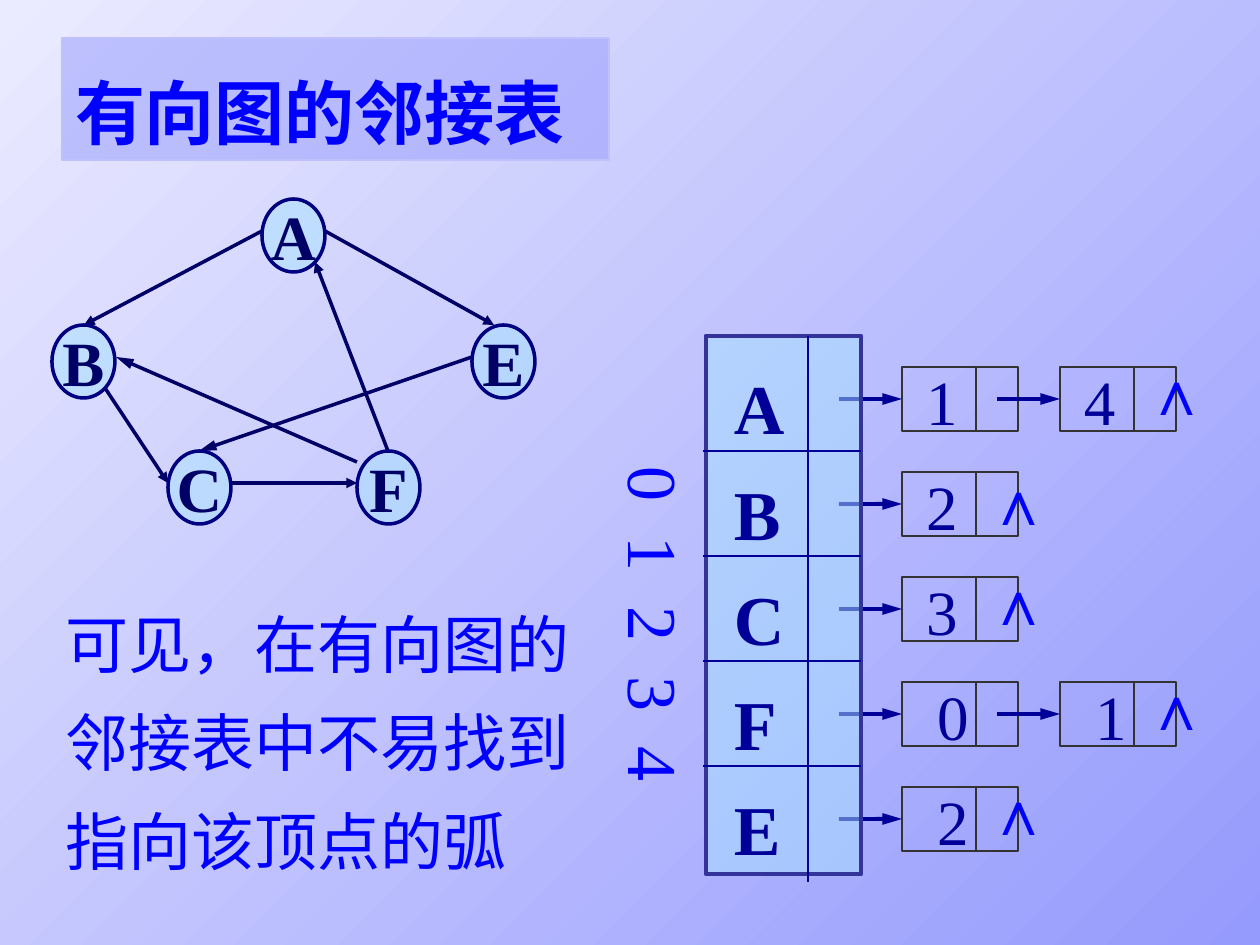
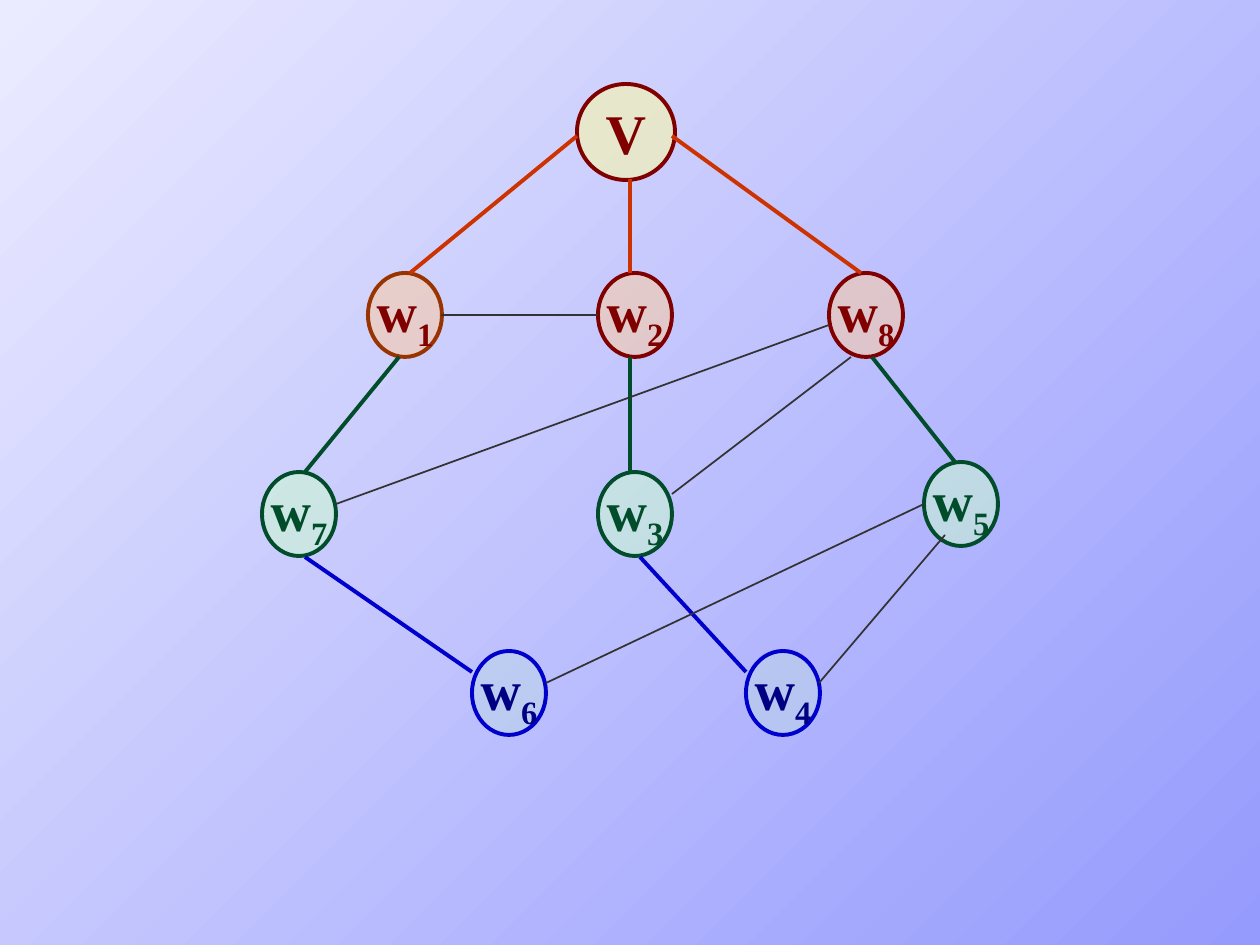
from dataclasses import dataclass

from lxml import etree
from pptx import Presentation
from pptx.dml.color import RGBColor
from pptx.enum.shapes import MSO_CONNECTOR, MSO_SHAPE
from pptx.enum.text import MSO_ANCHOR, MSO_AUTO_SIZE, PP_ALIGN
from pptx.oxml.ns import qn
from pptx.util import Pt

PX = 914400 / 126
RECT, OVAL = MSO_SHAPE.RECTANGLE, MSO_SHAPE.OVAL
STRAIGHT = MSO_CONNECTOR.STRAIGHT
TOP, MIDDLE = MSO_ANCHOR.TOP, MSO_ANCHOR.MIDDLE
LEFT, CENTER = PP_ALIGN.LEFT, PP_ALIGN.CENTER
GROW, FIXED = MSO_AUTO_SIZE.SHAPE_TO_FIT_TEXT, MSO_AUTO_SIZE.NONE


@dataclass(frozen=True)
class Theme:
    serif: str = "Times New Roman"
    sans: str = "Arial"
    dark: str = "959AFD"
    light: str = "EBEBFF"
    title_edge: str = "BEC1FE"
    blue: str = "0000FF"
    navy: str = "000099"
    ink: str = "000066"
    node_edge: str = "000080"
    node: str = "A7E2FF"
    column_edge: str = "333399"
    gray: str = "333333"
    red: str = "CC3300"
    maroon: str = "800000"
    green: str = "004C2B"
    royal: str = "0000CC"
    large: int = 40
    normal: int = 36
    tree: int = 32


THEME = Theme()
INSETS = (13, 6, 13, 6)

TITLE = "有向图的邻接表"
REMARK = "可见，在有向图的邻接表中不易找到指向该顶点的弧"
GRAPH_SIZE = (63, 73)
GRAPH_NODES = {"A": (262, 199), "B": (52, 325), "E": (472, 325),
               "C": (168, 451), "F": (357, 451)}
GRAPH_ARCS = [
    ((262, 231), (84, 325), "med"), ((105, 388), (168, 483), "med"),
    ((231, 483), (357, 483), "med"), ((388, 451), (315, 262), "med"),
    ((325, 231), (494, 325), "med"), ((357, 462), (116, 357), "lg"),
    ((472, 357), (199, 451), "lg"),
]
# vertex, linked indices, digit offset in cell, drop of the end mark
ADJACENCY = [("A", "14", 11, 0), ("B", "2", 11, 5), ("C", "3", 11, 0),
             ("F", "01", 22, 0), ("E", "2", 22, 0)]
ROW_STEP, CELL_STEP = 105, 158
FIRST_CELL = (902, 367, 116, 64)
INDEX_STEP = 70

STYLES = {
    "root": ("FFFF99", THEME.maroon, THEME.maroon),
    "first": ("FFCC99", "993300", THEME.maroon),
    "near": ("FFCC99", THEME.maroon, THEME.maroon),
    "middle": ("CCFFCC", THEME.green, THEME.green),
    "far": ("BDD7E5", THEME.royal, "000082"),
}
ROOT_SIZE, TREE_SIZE = (98, 96), (74, 84)
TREE_NODES = [
    ("V", "", "root", 577, 84), ("w", "1", "first", 368, 273),
    ("w", "2", "near", 598, 273), ("w", "8", "near", 829, 273),
    ("w", "7", "middle", 262, 472), ("w", "3", "middle", 598, 472),
    ("w", "5", "middle", 924, 462), ("w", "6", "far", 472, 651),
    ("w", "4", "far", 746, 651),
]
TREE_EDGES = [
    (THEME.red, 2.25, [((577, 136), (410, 273)), ((630, 179), (630, 273)),
                       ((672, 136), (861, 273))]),
    (THEME.green, 2.25, [((399, 357), (305, 472)), ((630, 357), (630, 472)),
                         ((872, 357), (955, 462))]),
    (THEME.royal, 2.25, [((305, 557), (472, 672)), ((640, 557), (746, 672))]),
    (THEME.gray, 1, [((336, 504), (829, 325)), ((851, 357), (672, 494)),
                     ((441, 315), (598, 315)), ((945, 535), (819, 683)),
                     ((924, 504), (546, 683))]),
]


def px(*lengths):
    """Turn px lengths into EMU."""
    return [round(length * PX) for length in lengths]


def rgb(color):
    """Read a hexadecimal colour."""
    return RGBColor.from_string(color)


def new_page(deck):
    """Add a blank page with the shared gradient."""
    page = deck.slides.add_slide(deck.slide_layouts[6])
    fill = page.background.fill
    fill.gradient()
    fill.gradient_angle = 135
    for stop, color in zip(fill.gradient_stops, (THEME.dark, THEME.light)):
        stop.color.rgb = rgb(color)
    return page


def write(box, lines, size=THEME.normal, color=THEME.navy, font=THEME.serif,
          bold=False, align=LEFT, anchor=TOP, wrap=False, fit=GROW,
          spacing=None, insets=INSETS, subscript=""):
    """Fill a box with formatted paragraphs."""
    frame = box.text_frame
    frame.word_wrap, frame.auto_size, frame.vertical_anchor = wrap, fit, anchor
    (frame.margin_left, frame.margin_top,
     frame.margin_right, frame.margin_bottom) = px(*insets)
    for index, line in enumerate(lines):
        para = frame.add_paragraph() if index else frame.paragraphs[0]
        para.alignment = align
        para.line_spacing = spacing
        for text in filter(None, (line, subscript)):
            span = para.add_run()
            span.text = text
            span.font.name, span.font.size = font, Pt(size)
            span.font.bold, span.font.color.rgb = bold, rgb(color)
            if text is subscript:
                span.font._element.set("baseline", "-25000")
    return box


def add_text(page, place, lines, **style):
    """Add a text box."""
    return write(page.shapes.add_textbox(*px(*place)), lines, **style)


def add_box(page, kind, place, edge, width, fill=None):
    """Add an outlined shape, empty or half transparent."""
    box = page.shapes.add_shape(kind, *px(*place))
    box.shadow.inherit = False
    box.line.color.rgb, box.line.width = rgb(edge), Pt(width)
    if fill:
        box.fill.solid()
        box.fill.fore_color.rgb = rgb(fill)
        tint = box.element.spPr.find(qn("a:solidFill")).find(qn("a:srgbClr"))
        etree.SubElement(tint, qn("a:alpha"), val="50000")
    else:
        box.fill.background()
    return box


def add_node(page, place, label, fill, edge, width, **style):
    """Add a labelled oval."""
    node = add_box(page, OVAL, place, edge, width, fill)
    write(node, [label], bold=True, align=CENTER, anchor=MIDDLE, fit=FIXED,
          **style)


def add_line(page, start, end, color, width, head=None):
    """Add a line, with an arrowhead of the given length if any."""
    line = page.shapes.add_connector(STRAIGHT, *px(*start, *end))
    line.line.color.rgb, line.line.width = rgb(color), Pt(width)
    if head:
        etree.SubElement(line.line._get_or_add_ln(), qn("a:tailEnd"),
                         type="triangle", w="med", len=head)
    etree.SubElement(line.element.spPr, qn("a:effectLst"))
    return line


def add_linked_cells(page):
    """Draw the chain of cells of every row."""
    left, top, width, height = FIRST_CELL
    for row, (_, targets, offset, _) in enumerate(ADJACENCY):
        y = top + row * ROW_STEP
        for column, target in enumerate(targets):
            x = left + column * CELL_STEP
            middle = y + height // 2
            cell = add_box(page, RECT, (x, y, width, height), THEME.gray, 1)
            add_line(page, (x + 74, y), (x + 74, y + height), THEME.gray, 1)
            arrow = add_line(page, (x - 63, middle), (x, middle), THEME.navy,
                             2.25, "lg")
            arrow.end_connect(cell, 1)
            add_text(page, (x + offset, y - 10, 57, 88), [target])


def add_end_marks(page):
    """Close every chain with its end mark."""
    left, top = FIRST_CELL[:2]
    for row, (_, targets, _, drop) in enumerate(ADJACENCY):
        x = left + (len(targets) - 1) * CELL_STEP + 72
        y = top - 20 + row * ROW_STEP + drop
        add_text(page, (x, y, 45, 88), ["∧"], font=THEME.sans,
                 color=THEME.blue)


def add_vertex_column(page):
    """Draw the vertex column with its indices and rules."""
    indices = "\t".join(str(row) for row in range(len(ADJACENCY)))
    box = add_text(page, (618, 467, 80, 345), [indices], size=THEME.large,
                   color=THEME.blue, wrap=True, fit=FIXED,
                   insets=(0, 0, 0, 0))
    box.text_frame._txBody.bodyPr.set("vert", "eaVert")
    tabs = etree.SubElement(box.text_frame.paragraphs[0]._p.get_or_add_pPr(),
                            qn("a:tabLst"))
    for row in range(1, len(ADJACENCY)):
        etree.SubElement(tabs, qn("a:tab"), pos=str(px(row * INDEX_STEP)[0]),
                         algn="l")
    column = add_box(page, RECT, (706, 336, 155, 538), THEME.column_edge, 2.75,
                     THEME.node)
    write(column, [vertex for vertex, *_ in ADJACENCY], size=THEME.large,
          bold=True, wrap=True, fit=FIXED, spacing=Pt(60),
          insets=(28, 8, 13, 6))
    add_line(page, (808, 336), (808, 882), THEME.navy, 1)
    for row in range(len(ADJACENCY) - 1):
        y = 451 + row * ROW_STEP
        add_line(page, (703, y), (861, y), THEME.navy, 1)


def build_adjacency_page(deck):
    """Build the page on the adjacency list."""
    page = new_page(deck)
    title = add_box(page, RECT, (62, 38, 547, 122), THEME.title_edge, 1,
                    THEME.dark)
    write(title, [TITLE], size=THEME.large, color=THEME.blue, bold=True,
          wrap=True, spacing=1.3)
    add_linked_cells(page)
    add_vertex_column(page)
    add_end_marks(page)
    for start, end, head in GRAPH_ARCS:
        add_line(page, start, end, THEME.ink, 2, head)
    for label, corner in GRAPH_NODES.items():
        add_node(page, corner + GRAPH_SIZE, label, THEME.node,
                 THEME.node_edge, 2, color=THEME.ink)
    add_text(page, (53, 577, 557, 307), [REMARK], color=THEME.blue, wrap=True,
             spacing=1.3)


def build_tree_page(deck):
    """Build the page on the search tree."""
    page = new_page(deck)
    for label, number, level, x, y in TREE_NODES:
        fill, edge, color = STYLES[level]
        size = ROOT_SIZE if level == "root" else TREE_SIZE
        add_node(page, (x, y) + size, label, fill, edge, 2.25,
                 size=THEME.tree, color=color, subscript=number)
    for color, width, edges in TREE_EDGES:
        for start, end in edges:
            add_line(page, start, end, color, width)


def main():
    """Build and save the deck."""
    deck = Presentation()
    deck.slide_width, deck.slide_height = px(1260, 945)
    build_adjacency_page(deck)
    build_tree_page(deck)
    deck.save("out.pptx")


if __name__ == "__main__":
    main()
